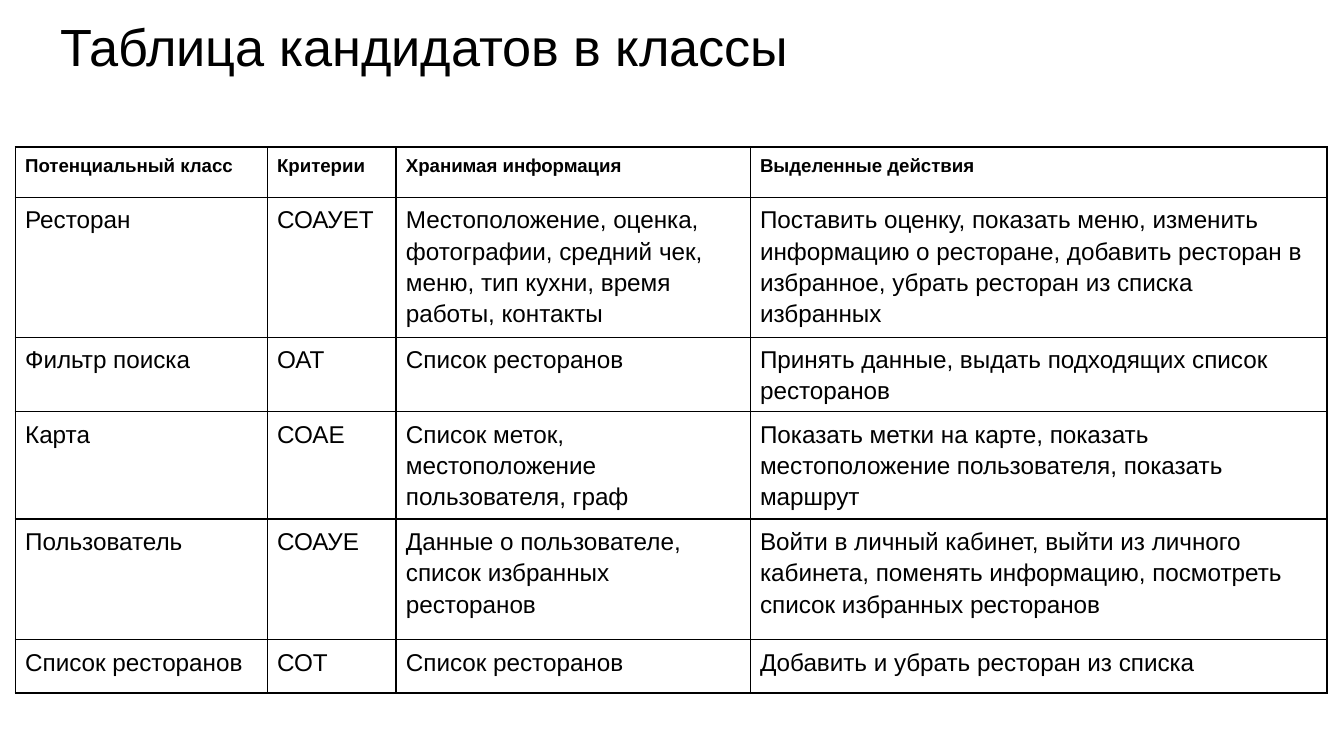
from lxml.etree import SubElement
from pptx import Presentation
from pptx.dml.color import RGBColor
from pptx.enum.text import MSO_ANCHOR
from pptx.oxml.ns import qn
from pptx.util import Pt

PX = 9525  # EMU per px, 96 px to the inch
COLORS = {"text": "000000", "border": "000000", "background": "FFFFFF"}
FONT = "Arial"
TITLE_FORMAT = {"size": Pt(28), "bold": False}
HEADER_FORMAT = {"size": Pt(10), "bold": True}
BODY_FORMAT = {"size": Pt(13), "bold": False}

COL_WIDTHS = [180, 92, 253, 412]
ROW_HEIGHTS = [36, 100, 53, 77, 86, 38]
CANDIDATES = [
    ["Потенциальный класс", "Критерии", "Хранимая информация", "Выделенные действия"],
    ["Ресторан", "СОАУЕТ",
     "Местоположение, оценка, фотографии, средний чек, меню, тип кухни, время работы, контакты",
     "Поставить оценку, показать меню, изменить информацию о ресторане, "
     "добавить ресторан в избранное, убрать ресторан из списка избранных"],
    ["Фильтр поиска", "ОАТ", "Список ресторанов",
     "Принять данные, выдать подходящих список ресторанов"],
    ["Карта", "СОАЕ", "Список меток, местоположение пользователя, граф",
     "Показать метки на карте, показать местоположение пользователя, показать маршрут"],
    ["Пользователь", "СОАУЕ", "Данные о пользователе, список избранных ресторанов",
     "Войти в личный кабинет, выйти из личного кабинета, "
     "поменять информацию, посмотреть список избранных ресторанов"],
    ["Список ресторанов", "СОТ", "Список ресторанов",
     "Добавить и убрать ресторан из списка"],
]


def emu(*lengths):
    return [length * PX for length in lengths]


def set_margins(target, left, top, right, bottom):
    margins = {"margin_left": left, "margin_top": top,
               "margin_right": right, "margin_bottom": bottom}
    for name, value in margins.items():
        setattr(target, name, value * PX)


def write_text(tf, text, font_format, line_spacing=1.0):
    tf.word_wrap = True
    p = tf.paragraphs[0]
    p.line_spacing = line_spacing
    r = p.add_run()
    r.text = text
    for name, value in {"name": FONT, **font_format}.items():
        setattr(r.font, name, value)
    r.font.color.rgb = RGBColor.from_string(COLORS["text"])


def set_borders(cell):
    """Draw all four cell sides; they must precede the fill in tcPr."""
    tc_pr = cell._tc.get_or_add_tcPr()
    for side in ("lnL", "lnR", "lnT", "lnB"):
        ln = SubElement(tc_pr, qn(f"a:{side}"), w=str(Pt(1)))
        fill = SubElement(ln, qn("a:solidFill"))
        SubElement(fill, qn("a:srgbClr"), val=COLORS["border"])


def add_title(slide, left, top, width, height):
    sp = slide.shapes.add_textbox(*emu(left, top, width, height))
    tf = sp.text_frame
    tf.vertical_anchor = MSO_ANCHOR.TOP
    set_margins(tf, 10, 10, 10, 0)
    write_text(tf, "Таблица кандидатов в классы", TITLE_FORMAT)


def add_candidates_table(slide, left, top):
    box = emu(left, top, sum(COL_WIDTHS), sum(ROW_HEIGHTS))
    table = slide.shapes.add_table(len(ROW_HEIGHTS), len(COL_WIDTHS), *box).table
    table.first_row = table.horz_banding = False
    for column, width in zip(table.columns, COL_WIDTHS):
        column.width = width * PX
    for i, (row, height, texts) in enumerate(zip(table.rows, ROW_HEIGHTS, CANDIDATES)):
        row.height = height * PX
        for cell, text in zip(row.cells, texts):
            set_margins(cell, 7, 4, 7, 0)
            set_borders(cell)
            cell.fill.background()
            write_text(cell.text_frame, text, BODY_FORMAT if i else HEADER_FORMAT, 1.15)


def main():
    prs = Presentation()
    prs.slide_width, prs.slide_height = emu(960, 540)
    slide = prs.slides.add_slide(prs.slide_layouts[6])
    slide.background.fill.solid()
    slide.background.fill.fore_color.rgb = RGBColor.from_string(COLORS["background"])
    add_title(slide, 33, 0, 895, 60)
    add_candidates_table(slide, 11, 105)
    prs.save("out.pptx")


if __name__ == "__main__":
    main()
